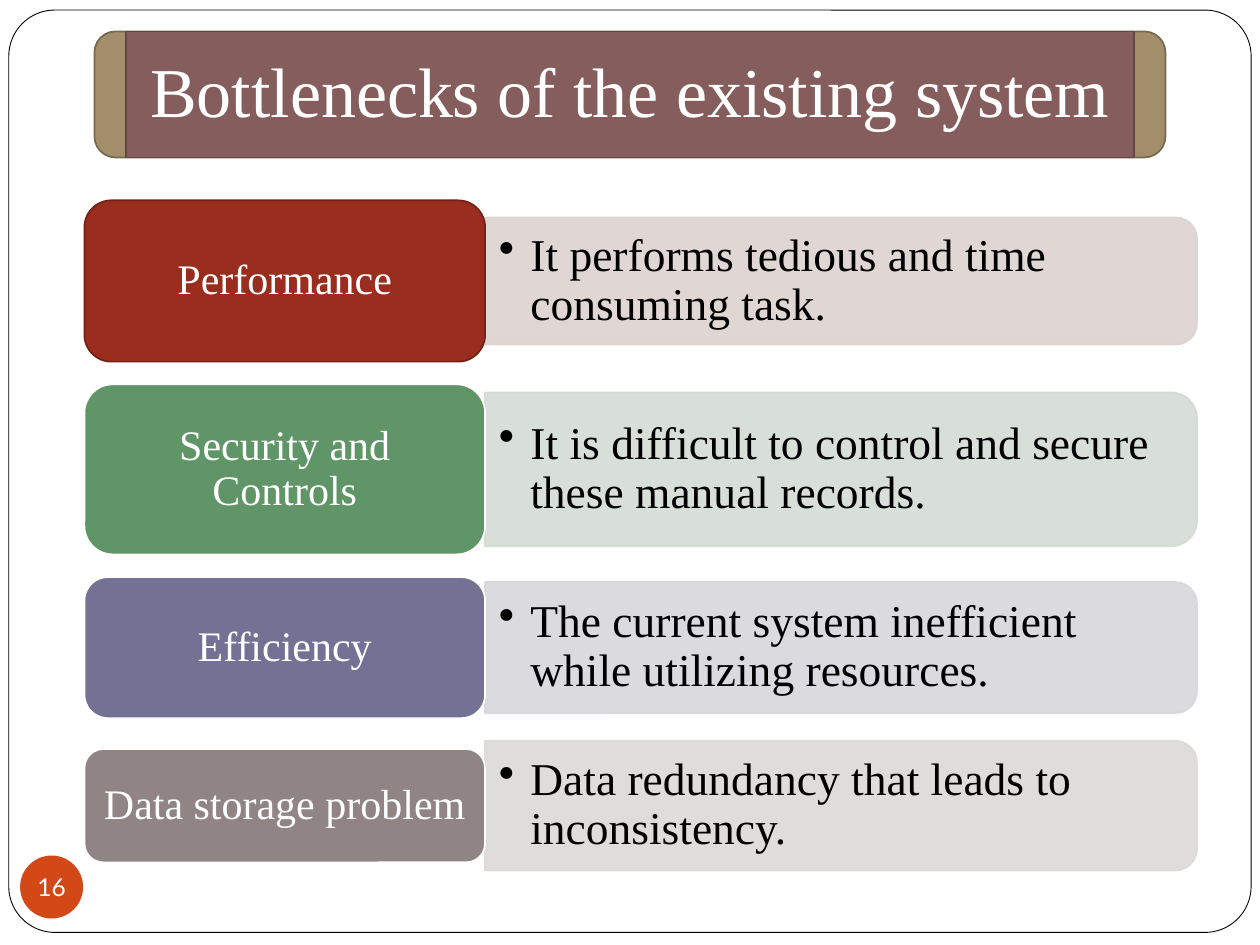
from lxml.etree import SubElement
from pptx import Presentation
from pptx.dml.color import RGBColor
from pptx.enum.shapes import MSO_SHAPE as Kind
from pptx.enum.text import MSO_ANCHOR as Anchor, MSO_AUTO_SIZE as Auto, PP_ALIGN as Align
from pptx.oxml.ns import qn
from pptx.util import Inches, Pt

# Content: label, bullet, tab fill, tab line, band fill, tab height, band height
TITLE = "Bottlenecks of the existing system"
PAGE = "16"
ROWS = [
    ("Performance", "It performs tedious and time consuming task.",
     "9B2D1F", "732117", "DDD3D0", 1.28, 1.01),
    ("Security and Controls",
     "It is difficult to control and secure these manual records.",
     "609568", "FFFFFF", "D3DCD4", 1.35, 1.22),
    ("Efficiency", "The current system inefficient while utilizing resources.",
     "737294", "FFFFFF", "D6D6DC", 1.12, 1.04),
    ("Data storage problem", "Data redundancy that leads to inconsistency.",
     "918485", "FFFFFF", "DCD9D9", 0.9, 1.03),
]

THEME = {
    "serif": "Times New Roman", "sans": "Lato",
    "white": "FFFFFF", "black": "000000",
    "cap": "A28E6A", "cap_line": "78694E",
    "plate": "855D5D", "plate_line": "624545", "badge": "D34817",
    "title": 40, "label": 24, "list": 26, "page": 14,
}

# Layout
LEFT, TAB_W, BAND_W = 0.67, 3.18, 5.65
TOP, GAP = 1.59, 0.18
BAND_X = LEFT + TAB_W


def put(obj, vals):
    for key, val in vals.items():
        setattr(obj, key, val)


def paint(shape, fill, line=None, width=1):
    shape.fill.solid()
    shape.fill.fore_color.rgb = RGBColor.from_string(fill)
    if line:
        shape.line.color.rgb = RGBColor.from_string(line)
        shape.line.width = Pt(width)
    else:
        shape.line.fill.background()


def fade(shape, pct):
    for clr in shape.element.spPr.iter(qn("a:srgbClr")):
        SubElement(clr, qn("a:alpha"), val=str(pct * 1000))


def draw(kind, x, y, w, h, fill, line=None, width=1):
    shape = slide.shapes.add_shape(kind, Inches(x), Inches(y), Inches(w), Inches(h))
    shape.shadow.inherit = False
    paint(shape, fill, line, width)
    return shape


def write(shape, text, size, color="white", face="serif", pad=(0.1, 0.05),
          wrap=True, space=0.9, bullet=False):
    side, edge = map(Inches, pad)
    frame = shape.text_frame
    put(frame, {"auto_size": Auto.NONE, "word_wrap": wrap,
                "vertical_anchor": Anchor.MIDDLE,
                "margin_left": side, "margin_right": side,
                "margin_top": edge, "margin_bottom": edge})
    frame.text = text
    para = frame.paragraphs[0]
    put(para, {"alignment": Align.LEFT if bullet else Align.CENTER,
               "line_spacing": space})
    if bullet:
        props = para._p.get_or_add_pPr()
        put_ind = {"marL": Inches(0.25), "indent": -Inches(0.25)}
        for key, val in put_ind.items():
            props.set(key, str(val))
        SubElement(props, qn("a:buChar"), char="•")
    font = para.runs[0].font
    put(font, {"name": THEME[face], "size": Pt(THEME[size])})
    font.color.rgb = RGBColor.from_string(THEME[color])


deck = Presentation()
put(deck, {"slide_width": Inches(10), "slide_height": Inches(7.5)})
slide = deck.slides.add_slide(deck.slide_layouts[5])

# Page frame
frame = draw(Kind.ROUNDED_RECTANGLE, 0.07, 0.08, 9.86, 7.32,
             THEME["white"], THEME["black"], 0.5)
frame.adjustments[0] = 0.05

# Title plate, placed in front of its end caps
draw(Kind.ROUNDED_RECTANGLE, 0.75, 0.25, 8.5, 1, THEME["cap"], THEME["cap_line"])
title = slide.shapes.title
put(title, {"left": Inches(1), "top": Inches(0.25),
            "width": Inches(8), "height": Inches(1)})
paint(title, THEME["plate"], THEME["plate_line"])
write(title, TITLE, "title", pad=(0.15, 0.19))
title.element.getparent().append(title.element)

# Rows: a band turned on its side, its bullet, then the tab
y = TOP
for label, point, fill, line, tint, tab_h, band_h in ROWS:
    row_h = max(tab_h, band_h)
    mid = y + row_h / 2
    band = draw(Kind.ROUND_2_SAME_RECTANGLE, BAND_X + (BAND_W - band_h) / 2,
                mid - BAND_W / 2, band_h, BAND_W, tint, tint)
    band.rotation = 90
    fade(band, 90)
    box = slide.shapes.add_textbox(Inches(BAND_X), Inches(mid - band_h / 2),
                                   Inches(BAND_W - 0.05), Inches(band_h))
    write(box, point, "list", "black", pad=(0.11, 0.05), bullet=True)
    tab = draw(Kind.ROUNDED_RECTANGLE, LEFT, mid - tab_h / 2, TAB_W, tab_h, fill, line)
    write(tab, label, "label")
    y += row_h + GAP

# Page number
badge = draw(Kind.OVAL, 0.16, 6.79, 0.5, 0.5, THEME["badge"])
write(badge, PAGE, "page", face="sans", pad=(0, 0), wrap=False, space=1.0)

deck.save("out.pptx")
